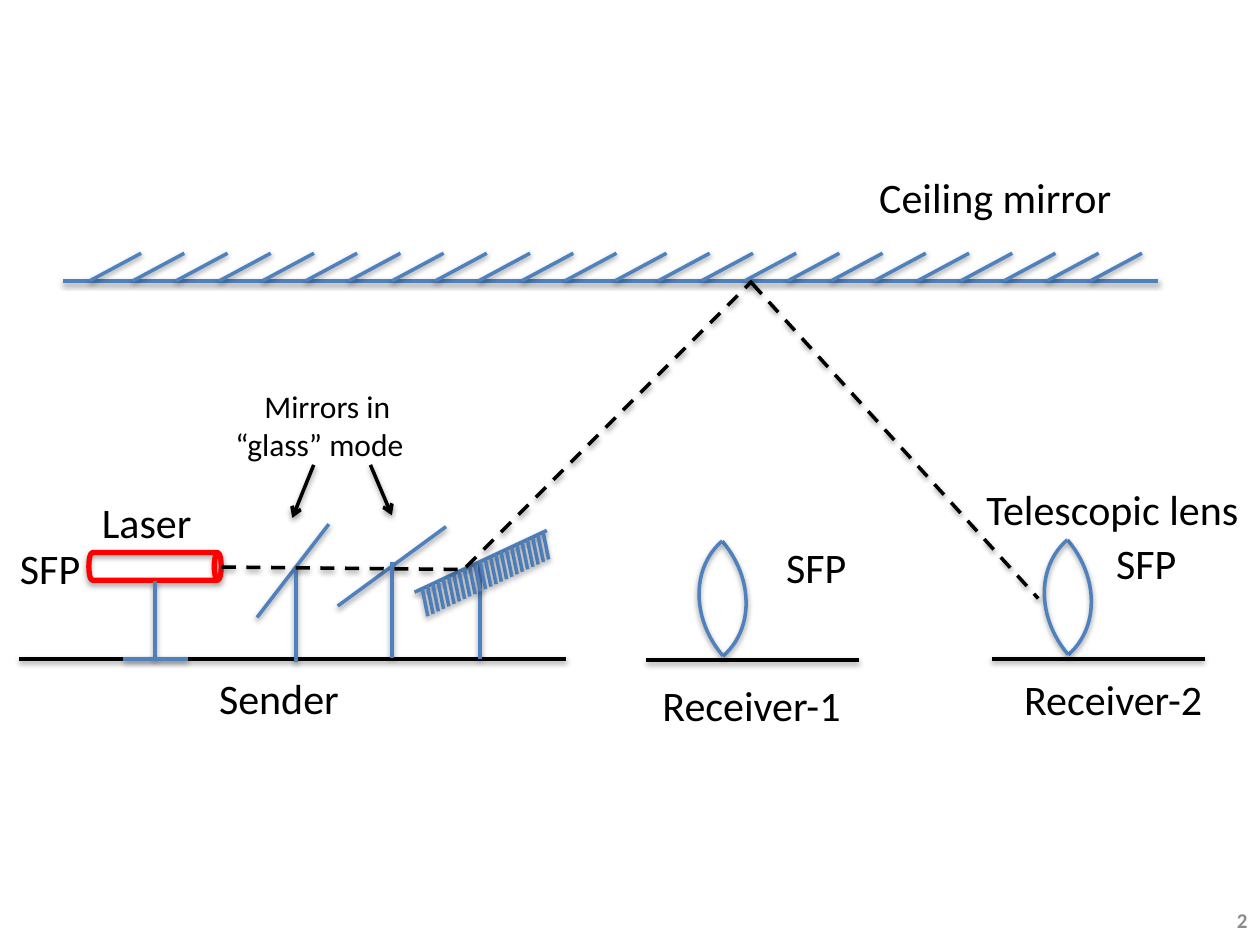
from lxml.etree import SubElement
from pptx import Presentation
from pptx.dml.color import RGBColor
from pptx.enum.dml import MSO_LINE
from pptx.enum.shapes import MSO_CONNECTOR, MSO_SHAPE
from pptx.enum.text import MSO_ANCHOR, PP_ALIGN
from pptx.oxml.ns import qn
from pptx.util import Pt

PX = 9144
COLORS = {"ink": "000000", "mirror": "4F81BD", "laser": "FF0000", "number": "8C8C8C"}
FONT = "Calibri"


def px(n):
    return round(n * PX)


def rgb(name):
    return RGBColor.from_string(COLORS[name])


def add_shadow(sp, alpha=38, dist=20000):
    effects = SubElement(sp._element.spPr, qn("a:effectLst"))
    shadow = SubElement(effects, qn("a:outerShdw"), blurRad="40000", dist=str(dist),
                        dir="5400000", rotWithShape="0")
    color = SubElement(shadow, qn("a:srgbClr"), val=COLORS["ink"])
    SubElement(color, qn("a:alpha"), val=str(alpha * 1000))


def add_line(slide, x1, y1, x2, y2, color="mirror", dashed=False, arrow=False):
    line = slide.shapes.add_connector(MSO_CONNECTOR.STRAIGHT, px(x1), px(y1), px(x2), px(y2))
    line.line.color.rgb = rgb(color)
    line.line.width = Pt(2)
    if dashed:
        line.line.dash_style = MSO_LINE.DASH
    if arrow:
        SubElement(line.line._get_or_add_ln(), qn("a:tailEnd"), type="arrow")
    add_shadow(line)


def add_outline(slide, kind, x, y, w, h, rotation, color, width, **shadow):
    sp = slide.shapes.add_shape(kind, px(x), px(y), px(w), px(h))
    sp.rotation = rotation
    sp.fill.background()
    sp.line.color.rgb = rgb(color)
    sp.line.width = Pt(width)
    add_shadow(sp, **shadow)


def add_label(slide, text, x, y, w, h=50, size=24, color="ink", bold=False):
    sp = slide.shapes.add_textbox(px(x), px(y), px(w), px(h))
    tf = sp.text_frame
    tf.word_wrap = False
    tf.text = text
    for p in tf.paragraphs:
        for r in p.runs:
            r.font.name = FONT
            r.font.size = Pt(size)
            r.font.bold = bold
            r.font.color.rgb = rgb(color)
    return tf


def add_ceiling(slide, x, y, w):
    add_line(slide, x, y, x + w, y)
    for start in (x + 21, x + 438):
        for i in range(12):
            left = start + i * 34.3
            add_line(slide, left, y, left + 41, y - 22)
    add_label(slide, "Ceiling mirror", x + 638, y - 92, 207)


def add_laser(slide, x, y):
    add_outline(slide, MSO_SHAPE.CAN, x + 41, y + 8, 22, 105, 90, "laser", 3,
                alpha=35, dist=23000)
    add_line(slide, x + 52, y + 72, x + 52, y + 134)
    add_line(slide, x + 27, y + 134, x + 78, y + 134)
    add_label(slide, "Laser", x, y, 92)
    add_label(slide, "SFP", x - 65, y + 37, 69)


def add_glass_mirrors(slide, x, y):
    for x1, y1, x2, y2 in ((84, 114, 27, 188), (58, 148, 58, 223),
                           (177, 116, 91, 179), (134, 144, 134, 220)):
        add_line(slide, x + x1, y + y1, x + x2, y + y2)
    tf = add_label(slide, "Mirrors in\n“glass” mode", x, y, 156, 71, 18)
    tf.paragraphs[0]._p.get_or_add_pPr().set("marL", str(px(23)))
    add_line(slide, x + 72, y + 67, x + 55, y + 109, "ink", arrow=True)
    add_line(slide, x + 117, y + 67, x + 134, y + 107, "ink", arrow=True)


def add_steering_mirror(slide, x, y):
    add_line(slide, x + 52, y + 26, x + 52, y + 102)
    add_line(slide, x + 105, y, x, y + 49)
    for i in range(24):
        left, top = x + 102 - i * 4.17, y + 1 + i * 1.96
        add_line(slide, left, top, left + 4.5, top + 22)


def add_sender(slide, x, y, w):
    add_line(slide, x, y, x + w, y, "ink")
    add_laser(slide, x + 56, y - 134)
    add_glass_mirrors(slide, x + 162, y - 221)
    add_steering_mirror(slide, x + 314, y - 102)
    add_label(slide, "Sender", x + 149, y + 6, 116)


def add_receiver(slide, x, y, name, name_at, sfp_at):
    add_line(slide, x, y, x + 169, y, "ink")
    for dx, dy, rotation in ((-54, -115, 49.3), (36, -101, 229.3)):
        add_outline(slide, MSO_SHAPE.ARC, x + dx, y + dy, 139, 118, rotation, "mirror", 2)
    add_label(slide, name, x + name_at[0], y + name_at[1], 164)
    add_label(slide, "SFP", x + sfp_at[0], y + sfp_at[1], 69)


def add_beam(slide):
    for segment in ((176, 450, 370, 452), (370, 450, 597, 223), (597, 225, 824, 475)):
        add_line(slide, *segment, color="ink", dashed=True)


def add_page_number(slide, x, y, w, h):
    tf = add_label(slide, "2", x, y, w, h, 12, "number", True)
    tf.word_wrap = True
    tf.vertical_anchor = MSO_ANCHOR.MIDDLE
    tf.paragraphs[0].alignment = PP_ALIGN.RIGHT


def main():
    prs = Presentation()
    prs.slide_width, prs.slide_height = px(1000), px(750)
    slide = prs.slides.add_slide(prs.slide_layouts[6])
    add_ceiling(slide, 50, 223, 869)
    add_sender(slide, 15, 523, 434)
    add_beam(slide)
    add_receiver(slide, 513, 524, "Receiver-1", (3, 10), (101, -99))
    add_receiver(slide, 787, 523, "Receiver-2", (16, 7), (89, -101))
    add_label(slide, "Telescopic lens", 773, 379, 226)
    add_page_number(slide, 931, 710, 69, 40)
    prs.save("out.pptx")


if __name__ == "__main__":
    main()
